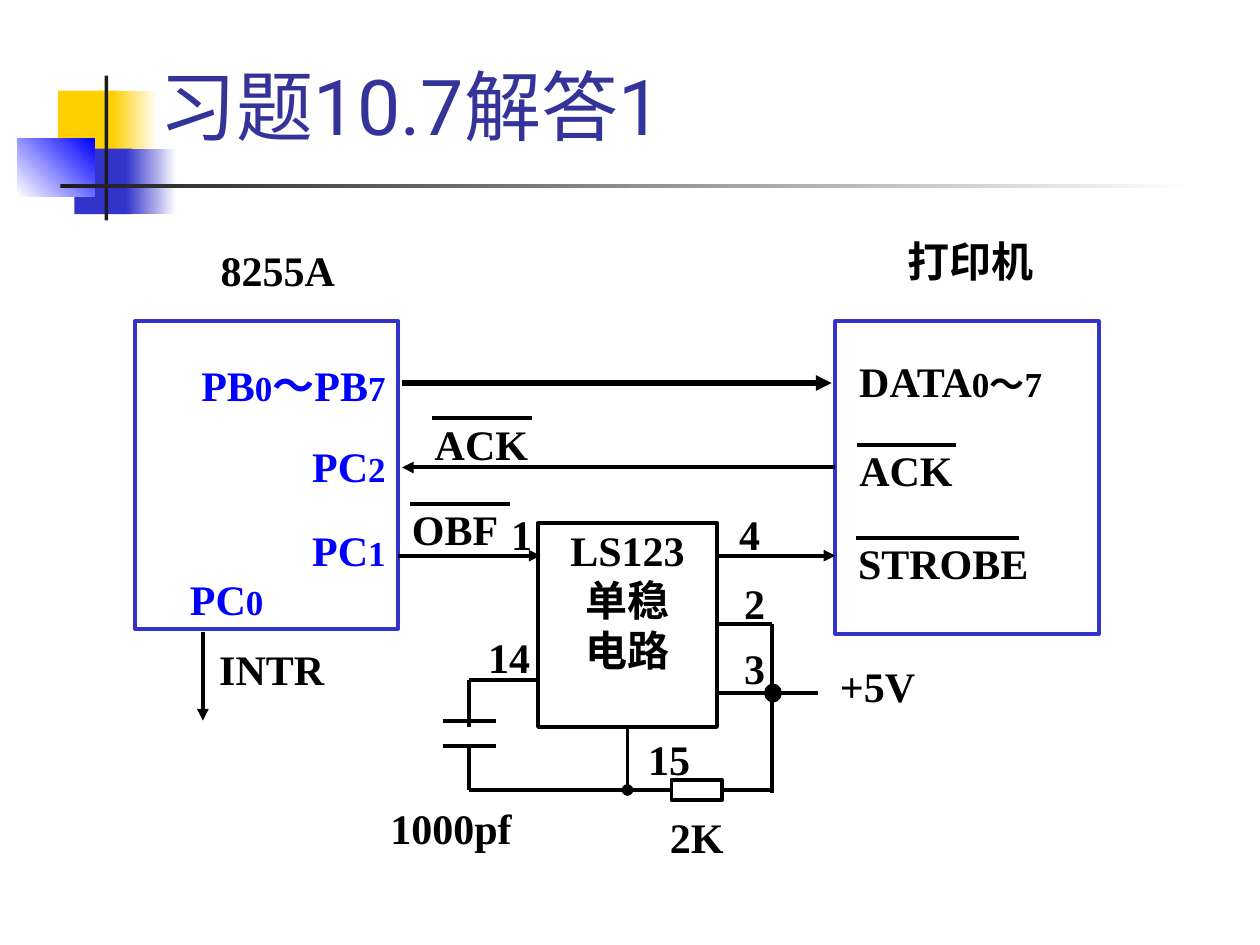
from pptx import Presentation
from pptx.dml.color import RGBColor
from pptx.enum.shapes import MSO_CONNECTOR, MSO_SHAPE as Shape
from pptx.enum.text import MSO_ANCHOR as Anchor, PP_ALIGN as Align
from pptx.oxml.ns import qn
from pptx.util import Inches, Pt
from lxml.etree import SubElement

BLACK = RGBColor(0, 0, 0)
WHITE = RGBColor(0xFF, 0xFF, 0xFF)
CHARCOAL = RGBColor(0x1C, 0x1C, 0x1C)
YELLOW = RGBColor(0xFF, 0xCF, 0x01)
INDIGO = RGBColor(0x33, 0x33, 0xCC)
BLUE = RGBColor(0, 0, 0xFF)
TITLE_BLUE = RGBColor(0x33, 0x33, 0x99)
LEFT, CENTER, RIGHT = Align.LEFT, Align.CENTER, Align.RIGHT


def write(frame, text, size=24, small=20, color=BLACK, font="Times New Roman",
          bold=True, align=CENTER, anchor=Anchor.TOP, insets=(0.01, 0.01)):
    """Fill a text frame; every second part between bars takes the small size."""
    frame.word_wrap = True
    frame.vertical_anchor = anchor
    frame.margin_left = frame.margin_right = Inches(insets[0])
    frame.margin_top = frame.margin_bottom = Inches(insets[1])
    for i, line in enumerate(text.split("\n")):
        paragraph = frame.add_paragraph() if i else frame.paragraphs[0]
        paragraph.alignment = align
        for j, part in enumerate(line.split("|")):
            run = paragraph.add_run()
            run.text = part
            run.font.name, run.font.bold = font, bold
            run.font.size = Pt(small if j % 2 else size)
            run.font.color.rgb = color


def label(slide, text, x, y, w, h, **style):
    box = slide.shapes.add_textbox(Inches(x), Inches(y), Inches(w), Inches(h))
    write(box.text_frame, text, **style)


def block(slide, x, y, w, h, fill=None, line=None, kind=Shape.RECTANGLE):
    shape = slide.shapes.add_shape(kind, Inches(x), Inches(y), Inches(w), Inches(h))
    shape.shadow.inherit = False
    if fill is None:
        shape.fill.background()
    else:
        shape.fill.solid()
        shape.fill.fore_color.rgb = fill
    if line is None:
        shape.line.fill.background()
    else:
        shape.line.color.rgb = line
        shape.line.width = Pt(2.25)
    return shape


def fade(shape, start, end, angle=0):
    shape.fill.gradient()
    shape.fill.gradient_angle = angle
    for stop, color in zip(shape.fill.gradient_stops, (start, end)):
        stop.color.rgb = color


def wire(slide, x1, y1, x2, y2, width=2.25, tip=None, start=None, end=None):
    """Draw a line; start and end are (shape, side) pairs to join."""
    line = slide.shapes.add_connector(
        MSO_CONNECTOR.STRAIGHT, Inches(x1), Inches(y1), Inches(x2), Inches(y2))
    if start:
        line.begin_connect(*start)
    if end:
        line.end_connect(*end)
    line.line.color.rgb = BLACK
    line.line.width = Pt(width)
    if tip:
        SubElement(line.line._get_or_add_ln(), qn("a:tailEnd"), type=tip)
    SubElement(line._element.spPr, qn("a:effectLst"))


def barred(slide, text, x, y, bar):
    """Active-low signal name with its overline."""
    label(slide, text, x, y, 1.45, 0.63, align=LEFT)
    wire(slide, x - 0.01, y + 0.01, x - 0.01 + bar, y + 0.01)


def draw_header(slide, x, y):
    # Coloured squares, each fading out to the right
    for dx, dy, solid, faded, color in ((0.32, 0.12, 0.48, 0.36, YELLOW),
                                        (0.45, 0.58, 0.46, 0.4, INDIGO)):
        block(slide, x + dx, y + dy, solid, 0.52, fill=color)
        right = x + dx + solid - 0.05
        fade(block(slide, right, y + dy, faded, 0.52), color, WHITE)
    fade(block(slide, x, y + 0.5, 0.61, 0.46), WHITE, BLUE, angle=45)
    # Crossing rules
    block(slide, x + 0.69, y, 0.03, 1.15, fill=CHARCOAL)
    fade(block(slide, x + 0.34, y + 0.86, 9, 0.03), CHARCOAL, WHITE)
    label(slide, "习题10.7解答1", x + 1.03, y - 0.27, 6.17, 0.92, size=44,
          color=TITLE_BLUE, font="Roboto", bold=False, align=LEFT,
          anchor=Anchor.BOTTOM, insets=(0.1, 0.05))


def draw_interface_chip(slide, x, y, w, h):
    block(slide, x, y, w, h, line=INDIGO)
    label(slide, "8255A", x + 0.25, y - 0.62, 1.77, 0.73)
    # Port pins
    for pin, right, dy in (("PB|0|～PB|7", 2, 0.29), ("PC|2", 2, 0.94),
                           ("PC|1", 2, 1.6), ("PC|0", 1.03, 1.99)):
        label(slide, pin, x + right - 1.89, y + dy, 1.89, 0.63,
              color=BLUE, align=RIGHT)
    # Interrupt output
    wire(slide, x + 0.54, y + h + 0.03, x + 0.54, y + h + 0.73, tip="triangle")
    label(slide, "INTR", x + 0.66, y + h + 0.11, 1.45, 0.63, align=LEFT)


def draw_printer(slide, x, y, w, h):
    block(slide, x, y, w, h, line=INDIGO)
    label(slide, "打印机", x + 0.08, y - 0.69, 1.98, 0.73)
    label(slide, "DATA|0～7", x + 0.18, y + 0.26, 2.23, 0.63, align=LEFT)
    barred(slide, "ACK", x + 0.18, y + 0.97, 0.79)
    barred(slide, "STROBE", x + 0.17, y + 1.71, 1.3)


def draw_bus(slide, left, right, top):
    """Signals running between the two devices."""
    wire(slide, left + 0.03, top + 0.49, right - 0.03, top + 0.49, width=3, tip="triangle")
    wire(slide, right, top + 1.16, left + 0.03, top + 1.16, tip="triangle")
    wire(slide, left, top + 1.86, left + 1.13, top + 1.86, tip="triangle")
    wire(slide, right - 0.92, top + 1.86, right, top + 1.86, tip="triangle")
    barred(slide, "ACK", left + 0.28, top + 0.76, 0.79)
    barred(slide, "OBF", left + 0.1, top + 1.44, 0.8)


def draw_monostable(slide, x, y, w, h):
    timer = block(slide, x, y, w, h, line=BLACK)
    write(timer.text_frame, "LS123\n单稳\n电路")
    resistor = block(slide, x + 1.06, y + 2.04, 0.4, 0.16, line=BLACK)
    right, ground = x + w, y + 2.12
    capacitor, supply = x - 0.55, x + 1.86

    # Pin numbers and part values
    for text, dx, dy in (("1", -0.7, -0.12), ("4", 1.11, -0.12), ("2", 1.15, 0.42),
                         ("3", 1.15, 0.94), ("14", -0.8, 0.85), ("15", 0.47, 1.66),
                         ("1000pf", -1.26, 2.21), ("2K", 0.69, 2.28)):
        label(slide, text, x + dx, y + dy, 1.14, 0.37)

    # Supply side: pins 2 and 3
    wire(slide, right, y + 0.8, supply, y + 0.8)
    wire(slide, right, y + 1.35, right + 0.8, y + 1.35)
    wire(slide, supply, y + 0.8, supply, ground + 0.02)
    block(slide, supply - 0.05, y + 1.29, 0.11, 0.12, BLACK, BLACK, Shape.OVAL)
    label(slide, "+5V", x + 2.18, y + 1.08, 1.03, 0.76)

    # Capacitor on pin 14
    wire(slide, capacitor, y + 1.25, x, y + 1.25)
    wire(slide, capacitor, y + 1.25, capacitor, y + 1.62)
    for plate in (1.57, 1.77):
        wire(slide, capacitor - 0.2, y + plate, capacitor + 0.22, y + plate)
    wire(slide, capacitor, y + 1.77, capacitor, ground)

    # Lower rail through the resistor, joined to pin 15
    wire(slide, capacitor, ground, x + 1.06, ground, end=(resistor, 1))
    wire(slide, x + 1.46, ground, supply, ground, start=(resistor, 3))
    wire(slide, x + w / 2, y + h, x + w / 2, ground, tip="oval", start=(timer, 2))


def main():
    deck = Presentation()
    deck.slide_width, deck.slide_height = Inches(10), Inches(7.5)
    slide = deck.slides.add_slide(deck.slide_layouts[6])
    draw_header(slide, 0.14, 0.6)
    draw_interface_chip(slide, 1.07, 2.55, 2.09, 2.44)
    draw_printer(slide, 6.63, 2.55, 2.09, 2.48)
    draw_bus(slide, 3.16, 6.63, 2.55)
    draw_monostable(slide, 4.27, 4.15, 1.42, 1.62)
    deck.save("out.pptx")


if __name__ == "__main__":
    main()
